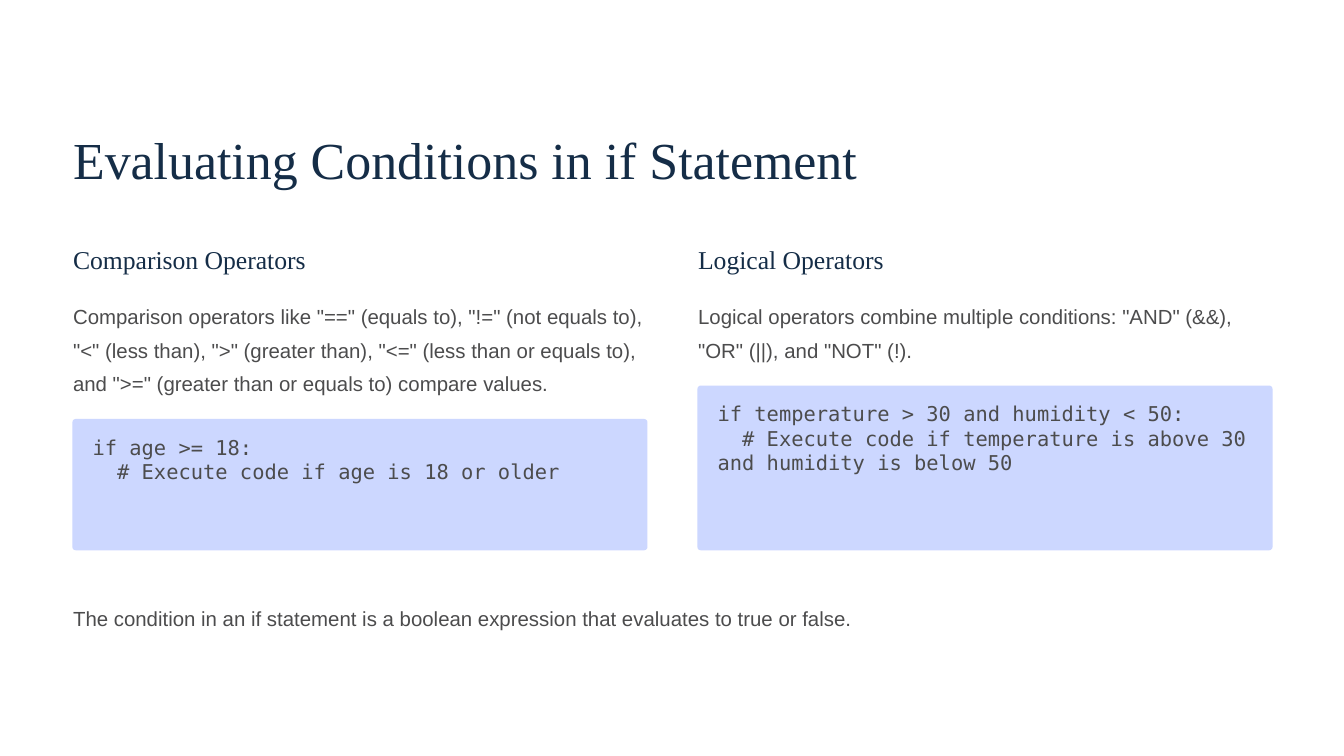
from dataclasses import dataclass

from pptx import Presentation
from pptx.dml.color import RGBColor
from pptx.enum.shapes import MSO_SHAPE
from pptx.enum.text import MSO_ANCHOR, MSO_AUTO_SIZE, PP_ALIGN
from pptx.util import Cm, Pt

ROUNDED = MSO_SHAPE.ROUNDED_RECTANGLE
TOP = MSO_ANCHOR.TOP
LEFT = PP_ALIGN.LEFT
NO_FIT = MSO_AUTO_SIZE.NONE
TITLE_ONLY = 5


@dataclass(frozen=True)
class TextStyle:
    font: str
    size: float
    leading: float
    color: RGBColor


class Theme:
    navy = RGBColor(0x15, 0x2D, 0x47)
    gray = RGBColor(0x4C, 0x4C, 0x4D)
    panel = RGBColor(0xCC, 0xD7, 0xFF)
    white = RGBColor(0xFF, 0xFF, 0xFF)
    title = TextStyle("Times New Roman", 44.5, 55.5, navy)
    heading = TextStyle("Times New Roman", 22, 27.5, navy)
    body = TextStyle("Arial", 17.5, 28.5, gray)
    code = TextStyle("DejaVu Sans Mono", 17.5, 21, gray)


MARGIN = 2.21
COLUMN_WIDTH = 17.35
COLUMN_STEP = 18.9
HEADING_TOP = 7.34
BODY_TOP = 8.94
PANEL_BOTTOM = 16.64
PANEL_OUTSET = 0.02
PANEL_RADIUS = 0.1
PAD_X, PAD_Y = 0.61, 0.48

COLUMNS = [
    ("Comparison Operators",
     'Comparison operators like "==" (equals to), "!=" (not equals to), '
     '"<" (less than), ">" (greater than), "<=" (less than or equals to), '
     'and ">=" (greater than or equals to) compare values.',
     "if age >= 18:\n  # Execute code if age is 18 or older",
     12.67),
    ("Logical Operators",
     'Logical operators combine multiple conditions: "AND" (&&), '
     '"OR" (||), and "NOT" (!).',
     "if temperature > 30 and humidity < 50:\n"
     "  # Execute code if temperature is above 30 and humidity is below 50",
     11.66),
]


class SlideBuilder:
    def __init__(self, prs, theme):
        self.theme = theme
        self.s = prs.slides.add_slide(prs.slide_layouts[TITLE_ONLY])
        fill = self.s.background.fill
        fill.solid()
        fill.fore_color.rgb = theme.white

    def set_text(self, sp, text, style):
        """Fill a shape with text flush to its top left corner."""
        tf = sp.text_frame
        tf.text = text
        tf.word_wrap = True
        tf.auto_size = NO_FIT
        tf.vertical_anchor = TOP
        tf.margin_left = tf.margin_right = tf.margin_top = tf.margin_bottom = 0
        for p in tf.paragraphs:
            p.alignment = LEFT
            p.line_spacing = Pt(style.leading)
            for r in p.runs:
                r.font.name = style.font
                r.font.size = Pt(style.size)
                r.font.color.rgb = style.color

    def title(self, text, x, y, w, h):
        sp = self.s.shapes.title
        sp.left, sp.top, sp.width, sp.height = Cm(x), Cm(y), Cm(w), Cm(h)
        self.set_text(sp, text, self.theme.title)

    def text(self, text, style, x, y, w, h):
        sp = self.s.shapes.add_textbox(Cm(x), Cm(y), Cm(w), Cm(h))
        self.set_text(sp, text, style)

    def panel(self, x, y, w, h):
        sp = self.s.shapes.add_shape(ROUNDED, Cm(x), Cm(y), Cm(w), Cm(h))
        sp.adjustments[0] = PANEL_RADIUS / h
        sp.shadow.inherit = False
        sp.fill.solid()
        sp.fill.fore_color.rgb = self.theme.panel
        sp.line.fill.background()

    def code(self, text, x, y, w, h):
        self.panel(x, y, w, h)
        self.text(text, self.theme.code, x + PAD_X, y + PAD_Y,
                  w - 2 * PAD_X, h - 2 * PAD_Y)

    def column(self, x, heading, body, code, panel_top):
        self.text(heading, self.theme.heading, x, HEADING_TOP, 7.87, 0.99)
        self.text(body, self.theme.body, x, BODY_TOP, COLUMN_WIDTH,
                  panel_top - BODY_TOP - 0.7)
        self.code(code, x - PANEL_OUTSET, panel_top,
                  COLUMN_WIDTH + 2 * PANEL_OUTSET, PANEL_BOTTOM - panel_top)


def main():
    prs = Presentation()
    prs.slide_width, prs.slide_height = Cm(40.64), Cm(22.86)
    theme = Theme()
    slide = SlideBuilder(prs, theme)
    slide.title("Evaluating Conditions in if Statement", MARGIN, 3.78, 24.49, 1.98)
    for i, column in enumerate(COLUMNS):
        slide.column(MARGIN + i * COLUMN_STEP, *column)
    slide.text("The condition in an if statement is a boolean expression "
               "that evaluates to true or false.",
               theme.body, MARGIN, 18.06, 36.22, 1.02)
    prs.save("out.pptx")


if __name__ == "__main__":
    main()
